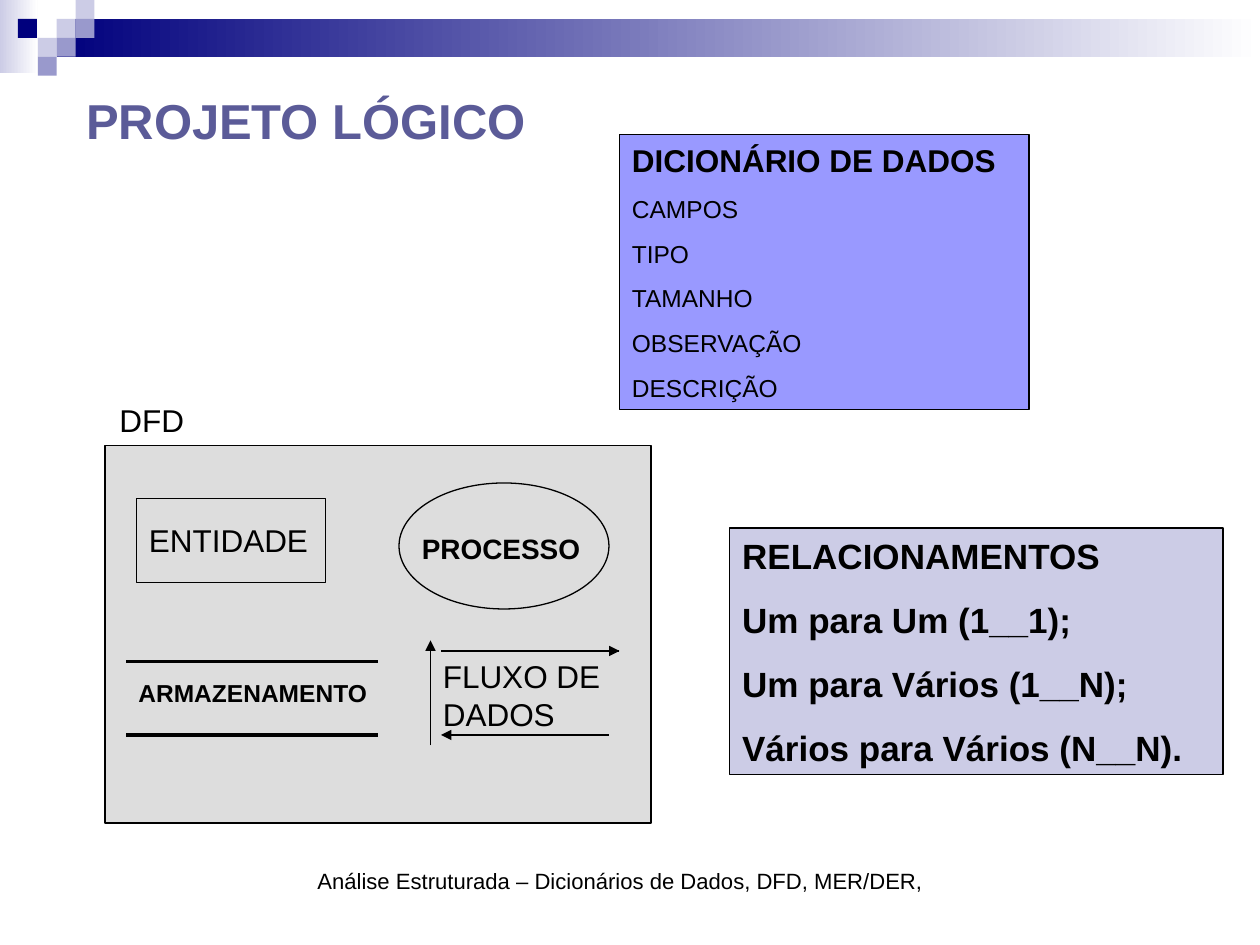
from lxml import etree
from pptx import Presentation
from pptx import util as u
from pptx.dml.color import RGBColor
from pptx.enum import shapes, text
from pptx.oxml import ns

CELL = 1 / 12
TILE = 0.15
RECT = shapes.MSO_SHAPE.RECTANGLE
OVAL = shapes.MSO_SHAPE.OVAL


def colour(code):
    return RGBColor.from_string(code)


def grid(*cells):
    return [u.Inches(cell * CELL) for cell in cells]


def write(frame, lines, size=18, bold=False, color="000000", before=0,
          align=text.PP_ALIGN.LEFT, anchor=text.MSO_ANCHOR.TOP):
    frame.word_wrap = True
    frame.vertical_anchor = anchor
    for index, line in enumerate(lines):
        paragraph = frame.paragraphs[0] if index == 0 else frame.add_paragraph()
        paragraph.alignment = align
        if index:
            paragraph.space_before = u.Pt(before)
        run = paragraph.add_run()
        run.text = line
        run.font.name = "Arial"
        run.font.size = u.Pt(size)
        run.font.bold = bold
        run.font.color.rgb = colour(color)


def label(slide, box, line, **style):
    write(slide.shapes.add_textbox(*grid(*box)).text_frame, [line], **style)


def block(slide, box, fill=None, outline="000000", kind=RECT):
    shape = slide.shapes.add_shape(kind, *grid(*box))
    shape.shadow.inherit = False
    if isinstance(fill, tuple):
        shape.fill.gradient()
        shape.fill.gradient_angle = 0
        for stop, code in zip(shape.fill.gradient_stops, fill):
            stop.color.rgb = colour(code)
    elif fill:
        shape.fill.solid()
        shape.fill.fore_color.rgb = colour(fill)
    else:
        shape.fill.background()
    if outline:
        shape.line.color.rgb = colour(outline)
        shape.line.width = u.Pt(0.75)
    else:
        shape.line.fill.background()
    return shape


def stroke(slide, ends, width=0.75, arrow=False):
    line = slide.shapes.add_connector(shapes.MSO_CONNECTOR.STRAIGHT, *grid(*ends))
    line.line.color.rgb = colour("000000")
    line.line.width = u.Pt(width)
    if arrow:
        etree.SubElement(line.line._get_or_add_ln(), ns.qn("a:tailEnd"), type="triangle")
    etree.SubElement(line._element.spPr, ns.qn("a:effectLst"))


def banner(slide, box):
    left, top, width, height = box
    step = TILE / CELL
    block(slide, (left, top, 2 * step, height), ("CCCCE6", "FFFFFF"), None)
    block(slide, (left + 3 * step, top + step, width - 3 * step, 2 * step),
          ("00007D", "FFFFFF"), None)
    tiles = [(3, 1, "CCCCE6"), (4, 0, "CCCCE6"), (4, 1, "9999CC"), (2, 2, "CCCCE6"),
             (0.95, 1, "00007D"), (3, 2, "9999CC"), (2, 3, "9999CC")]
    for column, row, fill in tiles:
        block(slide, (left + column * step, top + row * step, step, step), fill, None)


def heading(slide, box, line):
    title = slide.shapes.title
    title.left, title.top, title.width, title.height = grid(*box)
    write(title.text_frame, [line], size=28, bold=True, color="5B5B98",
          anchor=text.MSO_ANCHOR.MIDDLE)


def dictionary(slide, box, name, fields):
    frame = block(slide, box, "9999FF").text_frame
    write(frame, [name], bold=True)
    for field in fields:
        paragraph = frame.add_paragraph()
        paragraph.space_before = u.Pt(8.8)
        run = paragraph.add_run()
        run.text = field
        run.font.name = "Arial"
        run.font.size = u.Pt(14)
        run.font.color.rgb = colour("000000")
        paragraph.alignment = text.PP_ALIGN.LEFT


def relationships(slide, box, lines):
    write(block(slide, box, "CCCCE6").text_frame, lines, size=20, bold=True, before=12.5)


def flow_diagram(slide, box):
    left, top, width, height = box

    def inside(column, row, *extent):
        return (left + column, top + row, *extent)

    def between(x1, y1, x2, y2):
        return inside(x1, y1) + inside(x2, y2)

    block(slide, box, "DDDDDD")
    label(slide, inside(0.2, -4.8, 43, 4.8), "DFD")

    block(slide, inside(3, 5.1, 18, 8))
    label(slide, inside(3, 6.6, 18, 4.8), "ENTIDADE")

    block(slide, inside(28, 3.6, 20, 12), kind=OVAL)
    label(slide, inside(29, 7.6, 19, 4.4), "PROCESSO", size=16, bold=True)

    for row in (20.6, 27.6):
        stroke(slide, between(2, row, 26, row), width=2.25)
    label(slide, inside(2, 21.6, 25, 4), "ARMAZENAMENTO", size=14, bold=True)

    for ends in ((32, 19.6, 49, 19.6), (48, 27.6, 32, 27.6), (31, 28.6, 31, 18.6)):
        stroke(slide, between(*ends), arrow=True)
    stroke(slide, between(34.9, 19.6, 49, 19.6))
    label(slide, inside(31, 19.6, 19, 8.4), "FLUXO DE DADOS")


def main():
    deck = Presentation()
    deck.slide_width, deck.slide_height = grid(120, 90)
    slide = deck.slides.add_slide(deck.slide_layouts[5])
    banner(slide, (0, 0, 120, 7))
    heading(slide, (7, 6.2, 84, 10.4), "PROJETO LÓGICO")
    flow_diagram(slide, (10, 42.4, 52, 36))
    dictionary(slide, (59, 12.8, 39, 26.2), "DICIONÁRIO DE DADOS",
               ["CAMPOS", "TIPO", "TAMANHO", "OBSERVAÇÃO", "DESCRIÇÃO"])
    relationships(slide, (69.5, 50.3, 47, 23.5),
                  ["RELACIONAMENTOS", "Um para Um (1__1);", "Um para Vários (1__N);",
                   "Vários para Vários (N__N)."])
    label(slide, (6, 82, 106, 4), "Análise Estruturada – Dicionários de Dados, DFD, MER/DER,",
          size=12.6, align=text.PP_ALIGN.CENTER)
    deck.save("out.pptx")


if __name__ == "__main__":
    main()
